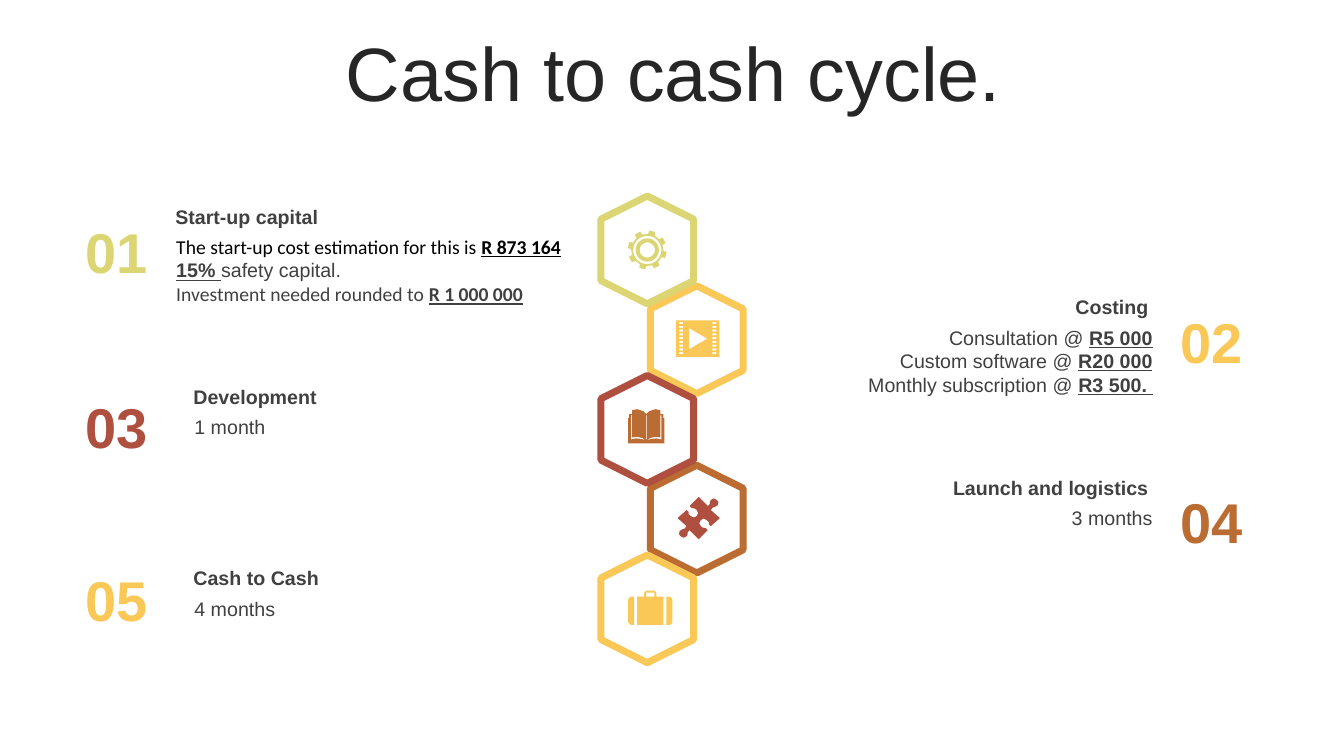
from math import cos, radians, sin

from pptx import Presentation
from pptx.dml import color
from pptx.enum import shapes, text
from pptx.util import Inches, Pt

LIME, GOLD, RED, BROWN = "DCD574", "F9C856", "AF4F3F", "BB6C32"
GREY, BLACK, WHITE = "404040", "000000", "FFFFFF"
LEFT, RIGHT, CENTER = text.PP_ALIGN.LEFT, text.PP_ALIGN.RIGHT, text.PP_ALIGN.CENTER


def rgb(value):
    return color.RGBColor.from_string(value)


def add_run(p, words, size, ink, strong=False, underline=False, font="Arial"):
    r = p.add_run()
    r.text = words
    r.font.name, r.font.size = font, Pt(size)
    r.font.bold, r.font.underline = strong, underline
    r.font.color.rgb = rgb(ink)


def add_text(s, box, lines, align):
    sp = s.shapes.add_textbox(*map(Inches, box))
    tf = sp.text_frame
    tf.word_wrap = True
    tf.auto_size = text.MSO_AUTO_SIZE.SHAPE_TO_FIT_TEXT
    for i, runs in enumerate(lines):
        p = tf.paragraphs[0] if i == 0 else tf.add_paragraph()
        p.alignment = align
        for run in runs:
            add_run(p, *run)


def add_title(s, box, words):
    sp = s.shapes.title
    sp.left, sp.top, sp.width, sp.height = map(Inches, box)
    tf = sp.text_frame
    tf.word_wrap = True
    tf.vertical_anchor = text.MSO_ANCHOR.MIDDLE
    p = tf.paragraphs[0]
    p.alignment, p.line_spacing = CENTER, 0.9
    add_run(p, words, 54, "262626")


def add_step(s, box, number, number_at, ink, heading, lines, align):
    x, y, w = box
    add_text(s, (*number_at, 0.83, 0.77), [[(number, 40, ink, True)]], CENTER)
    add_text(s, (x + 0.01, y + 0.3, w + 0.03, 0.1 + 0.24 * len(lines)), lines, align)
    add_text(s, (x, y, w, 0.34), [[(heading, 14, GREY, True)]], align)


def add_hexagon(s, cx, cy, ink):
    w, h = 1.07, 0.92
    sp = s.shapes.add_shape(shapes.MSO_SHAPE.HEXAGON, Inches(cx - w / 2),
                            Inches(cy - h / 2), Inches(w), Inches(h))
    sp.rotation = 90
    sp.shadow.inherit = False
    sp.fill.solid()
    sp.fill.fore_color.rgb = rgb(WHITE)
    sp.line.color.rgb = rgb(ink)
    sp.line.width = Pt(5)


def add_icon(s, cx, cy, contours, ink):
    builder = None
    for contour in contours:
        points = [(Inches(cx + x / 100), Inches(cy + y / 100)) for x, y in contour]
        if builder is None:
            builder = s.shapes.build_freeform(*points[0])
        else:
            builder.move_to(*points[0])
        builder.add_line_segments(points[1:], close=True)
    sp = builder.convert_to_shape()
    sp.shadow.inherit = False
    sp.fill.solid()
    sp.fill.fore_color.rgb = rgb(ink)
    sp.line.fill.background()


def rect(x, y, w, h):
    return [(x, y), (x + w, y), (x + w, y + h), (x, y + h)]


def mirror(points):
    return [(-x, y) for x, y in reversed(points)]


def polar(radius, angle):
    return radius * cos(radians(angle)), radius * sin(radians(angle))


def circle(radius):
    return [polar(radius, a) for a in range(0, 360, 10)]


def gear():
    profile = [(16, -12), (19.5, -9), (19.5, 9), (16, 12)]
    teeth = [polar(r, a + da) for a in range(-75, 285, 45) for r, da in profile]
    return [teeth, circle(14), circle(11.5), circle(7.5)]


def film():
    holes = [rect(x, -16.5 + 3.75 * i, 4, 2) for i in range(9) for x in (-18.5, 14.5)]
    return [rect(-21.5, -18, 43, 36), [(-8.5, -10.5), (9.5, 0), (-8.5, 10.5)], *holes]


def book():
    half = [(0, -12), (-3, -15), (-9, -17), (-14, -16), (-14, -12), (-17, -12),
            (-17, -8), (-18, -8), (-18, 17)]
    slit = [(-15, -11), (-14, -11), (-14, 11), (-9, 10.5), (-4, 11.5), (-0.5, 14),
            (-5, 12.5), (-10, 12), (-15, 13)]
    return [half + mirror(half)[:-1], slit, mirror(slit), rect(-0.3, -11, 0.6, 24)]


def puzzle():
    half = [(18, -18), (19.5, -16), (19, -13), (16, -11), (14, -10.5), (12, -8),
            (21, 0), (12, 8), (10, 6), (10, 4), (8, 2), (5, 0.5), (2, 2), (0.5, 5),
            (2, 8), (4, 9.5), (7, 10), (9, 12), (0, 21), (-9, 12), (-11, 14),
            (-11, 16), (-12, 18), (-15, 19.5)]
    return [half + [(-x, -y) for x, y in half]]


def suitcase():
    side = [(-16, -11), (-16, 17), (-19, 17), (-21, 16), (-22, 14), (-22, -8),
            (-21, -10), (-19, -11)]
    half = [(-13, 17), (-13, -11), (-6, -11), (-6, -15), (-4, -17)]
    return [side, mirror(side), half + mirror(half), rect(-4, -15, 8, 4)]


def add_hexagon_column(s, x, y):
    inks = [LIME, GOLD, RED, BROWN, GOLD]
    for i in (3, 1, 2, 0, 4):
        add_hexagon(s, x + 0.49 * (i % 2), y + 0.89 * i, inks[i])
    icons = [(0, 0, gear, LIME), (0.5, 0.88, film, GOLD), (-0.01, 1.75, book, BROWN),
             (0.51, 2.66, puzzle, RED), (0.03, 3.55, suitcase, GOLD)]
    for dx, dy, draw, ink in icons:
        add_icon(s, x + dx, y + dy, draw(), ink)


def plain(words, ink=GREY, font="Arial"):
    return words, 14, ink, False, False, font


def key(words, ink=GREY, font="Arial"):
    return words, 14, ink, True, True, font


def main():
    prs = Presentation()
    prs.slide_width, prs.slide_height = Inches(13.33), Inches(7.5)
    s = prs.slides.add_slide(prs.slide_layouts[5])
    add_title(s, (0.35, 0.37, 12.66, 0.79), "Cash to cash cycle.")
    add_hexagon_column(s, 6.42, 2.48)

    capital = [
        [plain("The start-up cost estimation for this is ", BLACK, "Calibri"),
         key("R 873 164", BLACK, "Calibri")],
        [key("15% "), plain("safety capital.")],
        [plain("Investment needed rounded to ", font="Calibri"),
         key("R 1 000 000", font="Calibri")],
    ]
    costs = [
        [plain("Consultation @ "), key("R5 000")],
        [plain("Custom software @ "), key("R20 000")],
        [plain("Monthly subscription @ "), key("R3 500. ")],
    ]
    steps = [
        ((1.64, 1.98, 4.13), "01", (0.74, 2.11), LIME, "Start-up capital", capital, LEFT),
        ((7.56, 2.88, 3.93), "02", (11.6, 3), GOLD, "Costing", costs, RIGHT),
        ((1.82, 3.77, 3.94), "03", (0.74, 3.85), RED, "Development",
         [[plain("1 month")]], LEFT),
        ((7.56, 4.67, 3.93), "04", (11.6, 4.79), BROWN, "Launch and logistics",
         [[plain("3 months")]], RIGHT),
        ((1.82, 5.57, 3.94), "05", (0.74, 5.56), GOLD, "Cash to Cash",
         [[plain("4 months")]], LEFT),
    ]
    for step in steps:
        add_step(s, *step)
    prs.save("out.pptx")


if __name__ == "__main__":
    main()
